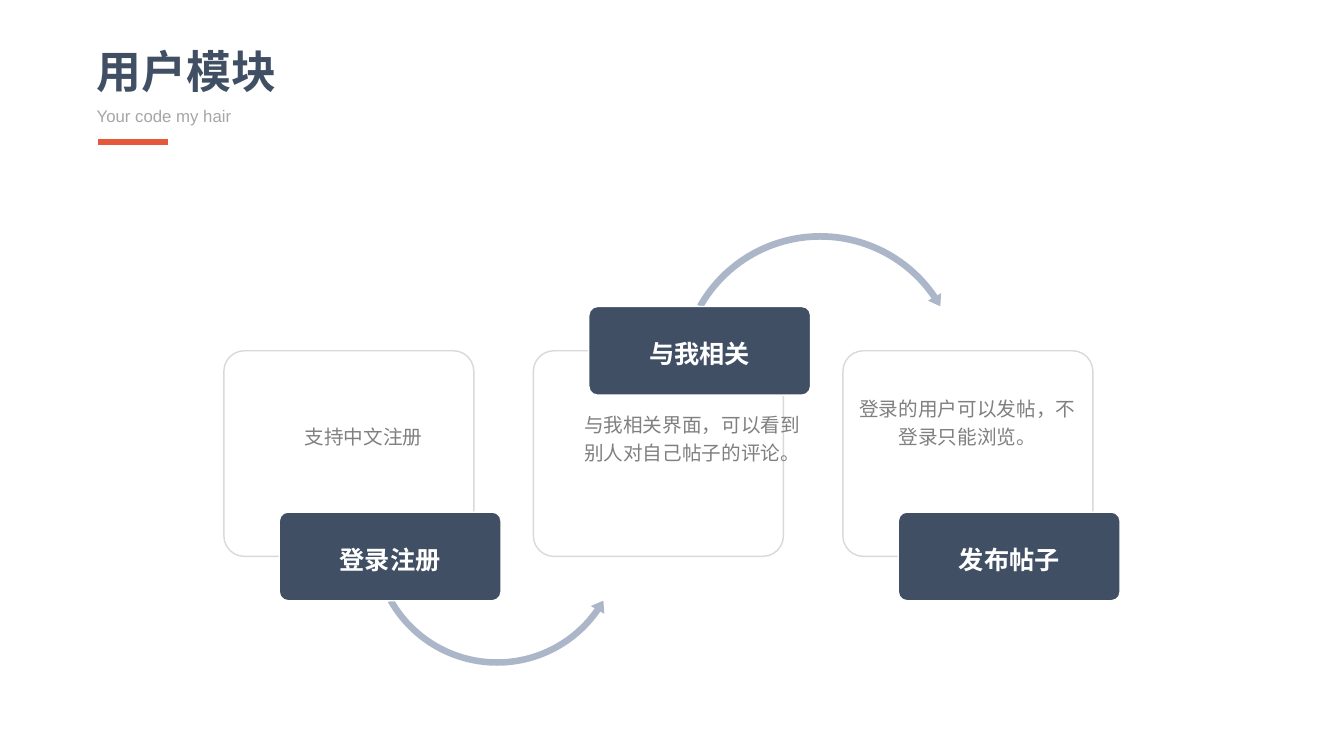
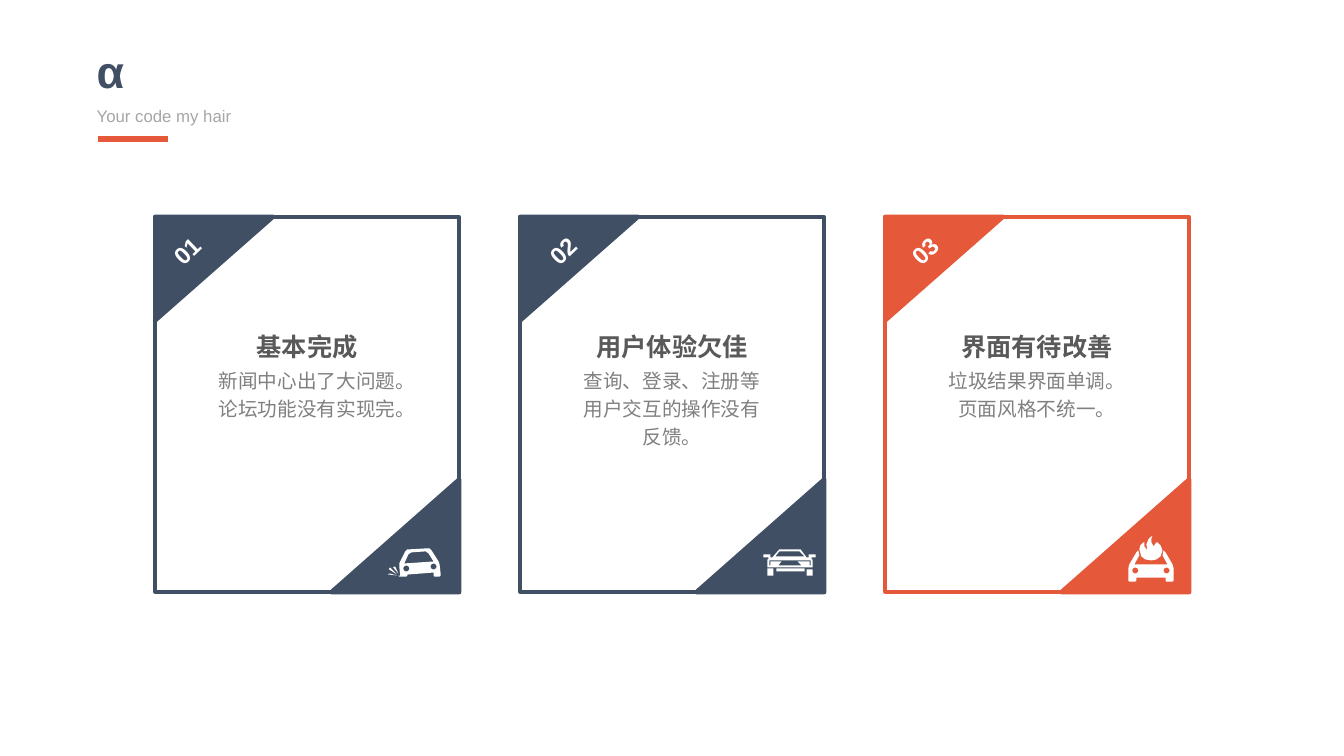
"""Builds two slides: the user module and the alpha review."""
import math
import pptx
import pptx.util
import pptx.dml.color
import pptx.enum.shapes
import pptx.enum.text
import pptx.oxml
import pptx.oxml.ns

PX = 9144
FONT = "Arial"
KIND = pptx.enum.shapes.MSO_SHAPE
ALIGN = pptx.enum.text.PP_ALIGN
HEX = {
    "navy": "404F64", "red": "E5583A", "mist": "ABB7C9", "white": "FFFFFF",
    "edge": "D9D9D9", "note": "A6A6A6", "body": "808080", "head": "595959",
}
TAG = "Your code my hair"

# label, button top, note, note left, note top, note height
STEPS = [
    ("登录注册", 508, "支持中文注册", 241, 412, 38),
    ("与我相关", 304, "与我相关界面，可以看到别人对自己帖子的评论。", 567, 400, 67),
    ("发布帖子", 508, "登录的用户可以发帖，不登录只能浏览。", 840, 384, 67),
]
ARCS = [
    (KIND.LEFT_CIRCULAR_ARROW, 364, 407, 258, (0.025, 3.094, 20.849, 90.245, 0.03)),
    (KIND.CIRCULAR_ARROW, 669, 227, 289, (0.023, 2.738, 195.507, 125.755, 0.026)),
]


def ring(x, y, r):
    return [(x + round(r * math.cos(k * math.pi / 6), 2),
             y + round(r * math.sin(k * math.pi / 6), 2)) for k in range(12)]


def quad(x, y, right, base):
    return [(x, y), (right, y), (right, base), (x, base)]


SPLASH = [
    [(2, 25), (9, 27), (1, 26), (0, 26), (1, 25)],
    [(10, 25), (7, 18), (6, 18), (5, 19)],
    [(2, 19), (1, 20), (1, 21), (9, 26), (3, 20)],
    [(51, 28), (46, 28), (45, 27), (45, 24), (19, 26), (19, 27), (18, 28),
     (11, 28), (10, 27), (12, 27), (11, 18), (11, 15), (17, 3), (19, 1),
     (21, 1), (38, 0), (41, 0), (43, 2), (50, 13), (51, 16), (52, 25), (52, 27)],
    [(16, 15), (45, 13), (40, 5), (37, 3), (23, 4), (20, 6)],
    ring(18, 20, 3), ring(45, 18, 3),
]
SEDAN = [
    quad(43, 20, 49, 26), quad(4, 19, 10, 26), quad(13, 19, 41, 22),
    [(34, 12), (46, 12), (46, 16), (38, 16)],
    [(7, 12), (18, 12), (15, 16), (7, 16)],
    quad(6, 11, 47, 16),
    [(16, 2), (12, 7), (41, 7), (36, 2)],
    [(16, 0), (37, 0), (43, 8), (45, 8), (45, 5), (52, 5), (52, 8), (48, 8),
     (48, 10), (49, 10), (49, 18), (4, 18), (4, 10), (5, 10), (5, 8), (0, 8),
     (0, 5), (7, 5), (7, 8), (9, 8)],
]
FLAME = [
    [(44, 28), (37, 16), (35, 14), (34, 19), (39, 28), (6, 28), (11, 19),
     (10, 14), (8, 16), (1, 28), (0, 32), (0, 44), (1, 45), (7, 45), (8, 44),
     (8, 41), (37, 41), (37, 44), (38, 45), (44, 45), (45, 44), (45, 32)],
    ring(7, 34, 3), ring(38, 34, 3),
    [(11, 13), (12, 9), (15, 6), (16, 6), (16, 10), (19, 14), (18, 8),
     (20, 3), (23, 0), (24, 0), (23, 2), (23, 6), (25, 10), (28, 6), (29, 6),
     (32, 9), (34, 14), (32, 20), (28, 23), (23, 24), (17, 23), (13, 20)],
]

# colour, number, number inset, heading, lines, body height, icon, icon inset, icon top
PANELS = [
    ("navy", "01", 7, "基本完成", ["新闻中心出了大问题。论坛功能没有实现完。"], 67, SPLASH, 231, 544),
    ("navy", "02", 18, "用户体验欠佳", ["查询、登录、注册等用户交互的操作没有反馈。"], 95, SEDAN, 241, 545),
    ("red", "03", 15, "界面有待改善", ["垃圾结果界面单调。", "页面风格不统一。"], 67, FLAME, 241, 532),
]


def rgb(name):
    return pptx.dml.color.RGBColor.from_string(HEX[name])


def px(*nums):
    return [round(n * PX) for n in nums]


def paint(shape, fill=None, line=None, width=1):
    shape.shadow.inherit = False
    if fill:
        shape.fill.solid()
        shape.fill.fore_color.rgb = rgb(fill)
    else:
        shape.fill.background()
    if line:
        shape.line.color.rgb = rgb(line)
        shape.line.width = pptx.util.Pt(width)
    else:
        shape.line.fill.background()


def block(slide, kind, box, fill=None, line=None, width=1, turn=0, adj=()):
    shape = slide.shapes.add_shape(kind, *px(*box))
    paint(shape, fill, line, width)
    shape.rotation = turn
    for i, val in enumerate(adj):
        shape.adjustments[i] = val
    return shape


def write(frame, lines, size, tint, bold=False, align=ALIGN.CENTER, lead=1.2):
    for i, line in enumerate(lines):
        para = frame.add_paragraph() if i else frame.paragraphs[0]
        para.alignment = align
        para.line_spacing = lead
        run = para.add_run()
        run.text = line
        font = run.font
        font.name, font.size, font.bold = FONT, pptx.util.Pt(size), bold
        font.color.rgb = rgb(tint)
        east = pptx.oxml.parse_xml(
            f'<a:ea {pptx.oxml.ns.nsdecls("a")} typeface="{FONT}"/>')
        run.font._element.find(pptx.oxml.ns.qn("a:latin")).addnext(east)


def label(slide, box, lines, size, tint, wrap=True, turn=0, **style):
    shape = slide.shapes.add_textbox(*px(*box))
    shape.rotation = turn
    shape.text_frame.word_wrap = wrap
    write(shape.text_frame, lines, size, tint, **style)


def start(deck, title, width, rule):
    slide = deck.slides.add_slide(deck.slide_layouts[6])
    left = {"align": ALIGN.LEFT, "lead": 1.0}
    label(slide, (86, 38, width, 64), [title], 32, "navy", wrap=False, bold=True, **left)
    label(slide, (86, 100, 529, 30), [TAG], 12, "note", **left)
    bar = slide.shapes.add_connector(
        pptx.enum.shapes.MSO_CONNECTOR.STRAIGHT, *px(97, rule, 167, rule))
    bar.line.color.rgb = rgb("red")
    bar.line.width = pptx.util.Pt(4.5)
    bar._element.spPr.append(
        pptx.oxml.parse_xml(f'<a:effectLst {pptx.oxml.ns.nsdecls("a")}/>'))
    return slide


def icon(slide, x, y, loops):
    pen = None
    for loop in loops:
        pts = [px(x + a, y + b) for a, b in loop]
        if pen is None:
            pen = slide.shapes.build_freeform(*pts[0])
        else:
            pen.move_to(*pts[0])
        pen.add_line_segments(pts[1:], close=True)
    paint(pen.convert_to_shape(), "white")


def users(deck):
    slide = start(deck, "用户模块", 200, 141)
    for i, (name, top, *_) in enumerate(STEPS):
        x = 222 + 307 * i
        block(slide, KIND.ROUNDED_RECTANGLE, (x, 348, 248, 204), "white", "edge", adj=[0.1])
        if i < len(ARCS):
            kind, left, high, size, adj = ARCS[i]
            block(slide, kind, (left, high, size, size), "mist", adj=adj)
        tab = block(slide, KIND.ROUNDED_RECTANGLE, (x + 55, top, 220, 88),
                    "navy", "white", adj=[0.1])
        tab.text_frame.vertical_anchor = pptx.enum.text.MSO_ANCHOR.MIDDLE
        write(tab.text_frame, [name], 18, "white", bold=True)
    for _, _, note, left, top, high in STEPS:
        label(slide, (left, top, 239, high), [note], 14, "body")


def alpha(deck):
    slide = start(deck, "α", 48, 138)
    for i, (tint, num, inset, head, lines, high, loops, dx, top) in enumerate(PANELS):
        x = 154 + 362 * i
        block(slide, KIND.RECTANGLE, (x, 215, 301, 372), None, tint, 3)
        for box, turn in (((x + 7, 208, 103, 117), 90), ((x + 182, 468, 112, 127), 270)):
            block(slide, KIND.RIGHT_TRIANGLE, box, tint, tint, 3, turn)
        label(slide, (x + inset, 230, 46, 35), [num], 17, "white",
              wrap=False, turn=316.2, bold=True, lead=1.0)
        icon(slide, x + dx, top, loops)
        label(slide, (x + 47, 356, 207, high), lines, 14, "body")
        label(slide, (x + 28, 318, 245, 46), [head], 18, "head", bold=True)


def main():
    deck = pptx.Presentation()
    deck.slide_width, deck.slide_height = px(1333, 750)
    users(deck)
    alpha(deck)
    deck.save("out.pptx")


if __name__ == "__main__":
    main()
